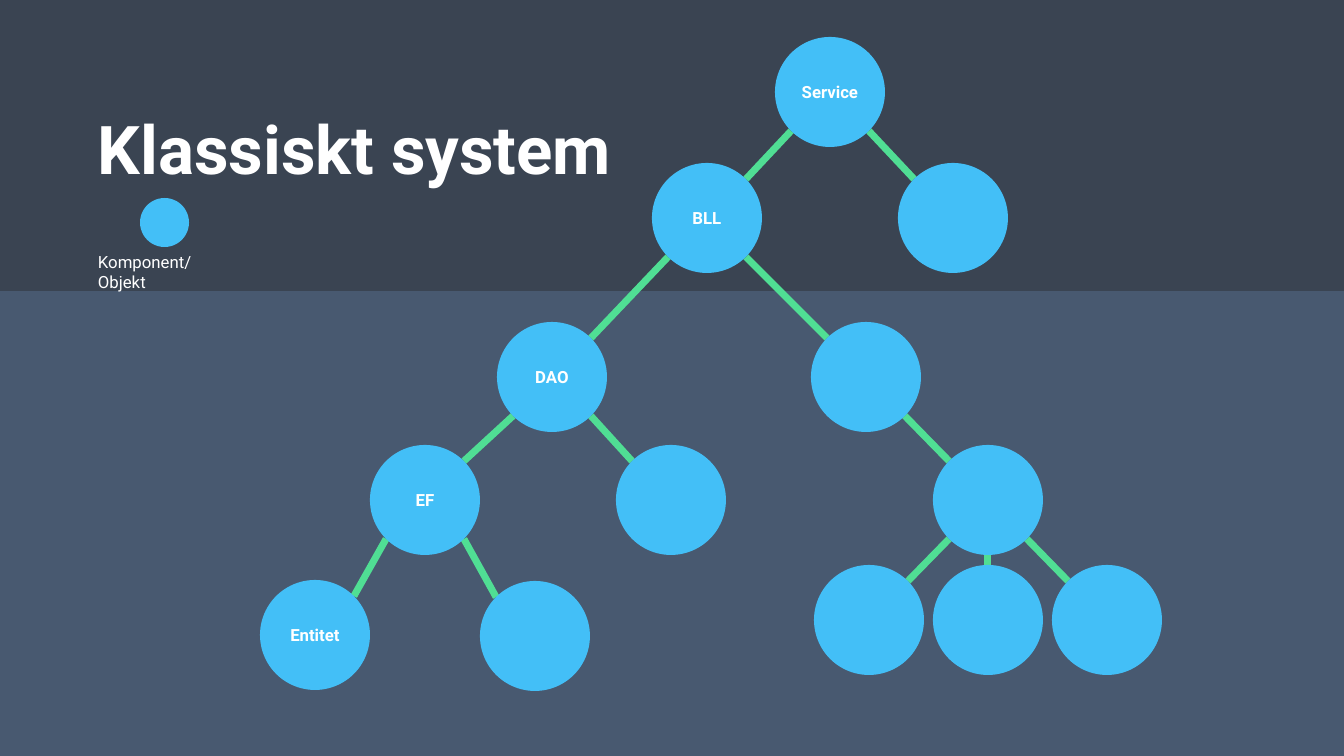
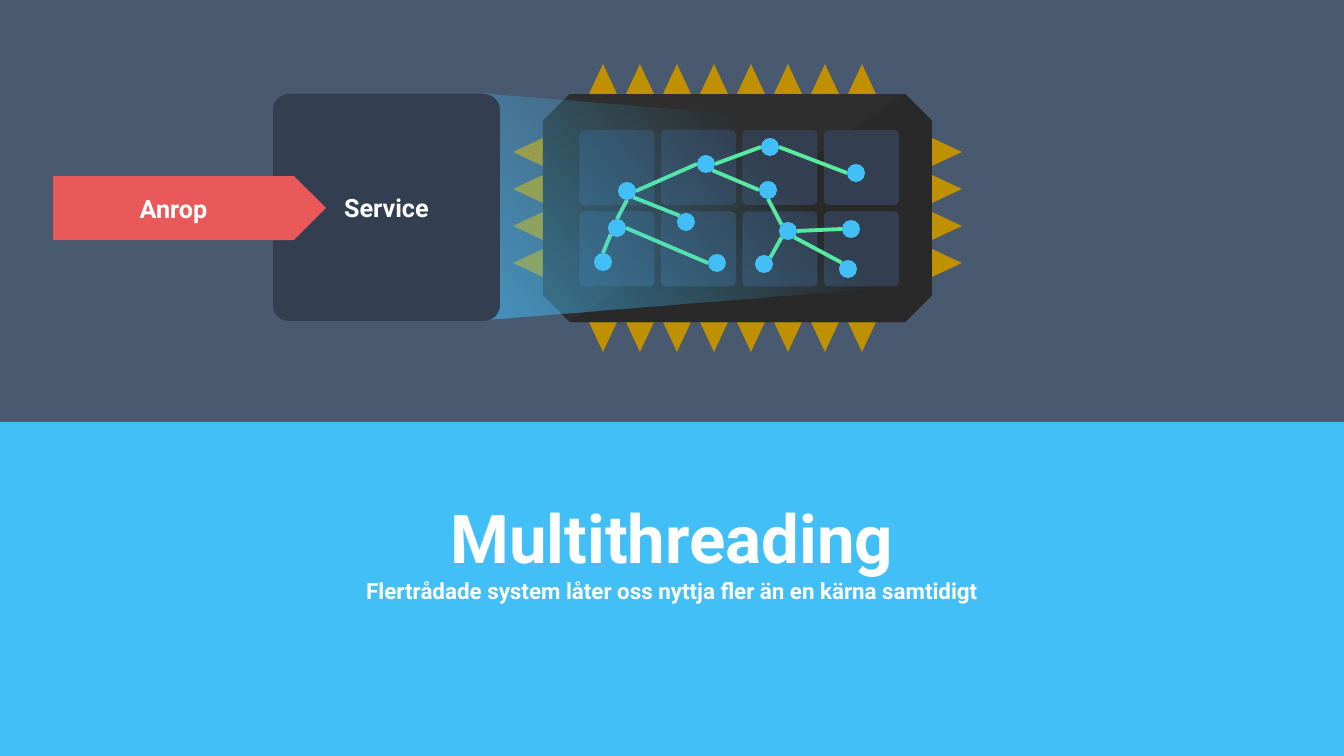
from itertools import product

from lxml.etree import SubElement as Sub
from pptx import Presentation
from pptx.dml.color import RGBColor as Rgb
from pptx.enum.shapes import MSO_CONNECTOR as Line, MSO_SHAPE as Kind
from pptx.enum.text import MSO_ANCHOR as Anchor, PP_ALIGN as Align
from pptx.oxml.ns import qn
from pptx.util import Pt

PX = 914400 / 100.8
WIDE, HIGH = 1344, 756
FONT = "Roboto"
TITLE = 48
COLOR = {
    "back": "485970", "band": "262626", "sky": "43BFF7", "white": "FFFFFF",
    "link": "50DE94", "thread": "58EC9F", "pin": "BF9000", "chip": "2E2E2E",
    "shade": "292929", "core": "333F50", "call": "E95959",
}
# Centres of the nodes, relative to the box of their tree
PARTS = {
    "S": (570, 55), "B": (447, 181), "R": (693, 181), "D": (292, 340),
    "X": (606, 340), "E": (165, 463), "Y": (411, 463), "Z": (728, 463),
    "N": (55, 598), "P": (275, 599), "Q": (609, 583), "T": (728, 583),
    "U": (847, 583),
}
NAMES = {"S": "Service", "B": "BLL", "D": "DAO", "E": "EF", "N": "Entitet"}
THREADS = {
    "A": (227, 53), "B": (163, 70), "C": (313, 79), "D": (84, 97),
    "E": (225, 96), "F": (74, 134), "G": (143, 128), "H": (60, 168),
    "I": (174, 169), "J": (245, 137), "K": (221, 170), "L": (308, 135),
    "M": (305, 175),
}
# Each link: node, side it leaves, node, side it meets
LINKS = """S SW B NE, S SE R NW, B SW D NE, B SE X NW, D SW E NE, D SE Y NW,
    E SW N NE, E SE P NW, X SE Z NW, Z SW Q NE, Z S T N, Z SE U NW"""
PATHS = """A W B E, A E C W, B W D E, B SE E W, D S F N, D SE G NW,
    F SW H N, F E I W, E S J NW, J SW K NE, J SE M NW, J E L W"""


def emu(*nums):
    return [round(n * PX) for n in nums]


def paint(shape, color):
    shape.shadow.inherit = False
    shape.line.fill.background()
    shape.fill.solid()
    shape.fill.fore_color.rgb = Rgb.from_string(COLOR[color])
    return shape


def fade(shape, *rates):
    """Set the opacity, in percent, of each colour of the fill."""
    for tint, rate in zip(shape.element.spPr.iter(qn("a:srgbClr")), rates):
        Sub(tint, qn("a:alpha")).set("val", str(rate * 1000))


def block(slide, kind, box, color, adj=None):
    shape = paint(slide.shapes.add_shape(kind, *emu(*box)), color)
    for i, value in enumerate(adj or ()):
        shape.adjustments[i] = value
    return shape


def poly(slide, spots, color):
    form = slide.shapes.build_freeform(*spots[0], scale=PX)
    form.add_line_segments(spots[1:], close=True)
    return paint(form.convert_to_shape(), color)


def write(shape, text, size=12, bold=True, align=Align.CENTER,
          anchor=Anchor.MIDDLE):
    """Add one paragraph to the shape."""
    frame = shape.text_frame
    frame.word_wrap = True
    frame.vertical_anchor = anchor
    para = frame.add_paragraph() if frame.text else frame.paragraphs[0]
    para.alignment = align
    run = para.add_run()
    run.text = text
    font = run.font
    font.name, font.size, font.bold = FONT, Pt(size), bold
    font.color.rgb = Rgb.from_string(COLOR["white"])


def label(slide, box, text, **form):
    area = slide.shapes.add_textbox(*emu(*box))
    write(area, text, align=Align.LEFT, anchor=Anchor.TOP, **form)


def side(spot, name, rad):
    """Find the point on a circle at a compass side."""
    dx = ("E" in name) - ("W" in name)
    dy = ("S" in name) - ("N" in name)
    reach = rad / (dx * dx + dy * dy) ** 0.5
    return spot[0] + dx * reach, spot[1] + dy * reach


def tree(slide, box, nodes, links, rad, color, weight, names=None):
    left, top = box[:2]
    spots = {key: (left + x, top + y) for key, (x, y) in nodes.items()}
    for link in links.split(","):
        a, out, b, into = link.split()
        ends = side(spots[a], out, rad) + side(spots[b], into, rad)
        line = slide.shapes.add_connector(Line.STRAIGHT, *emu(*ends))
        line.line.width = Pt(weight)
        line.line.color.rgb = Rgb.from_string(COLOR[color])
        Sub(line.element.spPr, qn("a:effectLst"))
    for key, (x, y) in spots.items():
        dot = block(slide, Kind.OVAL, (x - rad, y - rad, 2 * rad, 2 * rad),
                    "sky")
        if names and key in names:
            write(dot, names[key])


def pins(slide, box):
    left, top, wide, high = box
    size, depth, step = 28, 30, 37
    for i in range(8):
        x = left + 46 + i * step
        for y, way in ((top, -1), (top + high, 1)):
            poly(slide, [(x, y), (x + size, y),
                         (x + size // 2, y + way * depth)], "pin")
    for i in range(4):
        y = top + 44 + i * step
        for x, way in ((left, -1), (left + wide, 1)):
            poly(slide, [(x, y), (x, y + size),
                         (x + way * depth, y + size // 2)], "pin")


def chip(slide, box):
    left, top, wide, high = box
    cut = 27
    pins(slide, box)
    block(slide, Kind.OCTAGON, box, "chip", [0.117])
    right, base = left + wide, top + high
    poly(slide, [(left + cut, base), (right - cut, top), (right, top + cut),
                 (right, base - cut), (right - cut, base)], "shade")
    for row, col in product(range(2), range(4)):
        cell = (left + 36.5 + col * 81.5, top + 36 + row * 81.5, 75, 75)
        block(slide, Kind.ROUNDED_RECTANGLE, cell, "core", [0.062])
    tree(slide, box, THREADS, PATHS, 9, "thread", 2.75)


def beam(slide, box):
    left, top, wide, high = box
    spots = [(0, 0), (wide - 10, 34), (wide - 3, 37), (wide, 44),
             (wide, 183), (wide - 3, 190), (wide - 10, 193), (3, high)]
    shape = poly(slide, [(left + x, top + y) for x, y in spots], "sky")
    fill = shape.fill
    fill.gradient()
    fill.gradient_angle = 40
    for stop, place in zip(fill.gradient_stops, (0, 0.68)):
        stop.position = place
        stop.color.rgb = Rgb.from_string(COLOR["sky"])
    fade(shape, 56, 0)


def banner(slide, box, head, text):
    area = block(slide, Kind.RECTANGLE, box, "sky")
    area.text_frame.margin_bottom = emu(82)[0]
    write(area, head, size=TITLE)
    write(area, text, size=16)


def legend(slide, box):
    left, top, wide, high = box
    block(slide, Kind.OVAL, (left + 52, top, 49, 49), "sky")
    label(slide, (left, top + 49, wide, high - 49), "Komponent/Objekt",
          bold=False)


def page(deck):
    slide = deck.slides.add_slide(deck.slide_layouts[6])
    fill = slide.background.fill
    fill.solid()
    fill.fore_color.rgb = Rgb.from_string(COLOR["back"])
    return slide


def classic(deck):
    slide = page(deck)
    fade(block(slide, Kind.RECTANGLE, (0, 0, WIDE, 291), "band"), 40)
    label(slide, (88, 102, 635, 92), "Klassiskt system", size=TITLE)
    tree(slide, (260, 37, 902, 654), PARTS, LINKS, 55, "link", 5, NAMES)
    legend(slide, (88, 198, 153, 99))


def multi(deck):
    slide = page(deck)
    chip(slide, (543, 94, 389, 228))
    banner(slide, (0, 422, WIDE, HIGH - 422), "Multithreading",
           "Flertrådade system låter oss nyttja fler än en kärna samtidigt")
    beam(slide, (485, 94, 420, 226))
    core = block(slide, Kind.ROUNDED_RECTANGLE, (273, 94, 227, 227), "core",
                 [0.07])
    write(core, "Service", size=18)
    call = block(slide, Kind.RIGHT_ARROW, (53, 176, 273, 64), "call",
                 [1, 0.5])
    write(call, "Anrop", size=18)


def main():
    deck = Presentation()
    deck.slide_width, deck.slide_height = emu(WIDE, HIGH)
    classic(deck)
    multi(deck)
    deck.save("out.pptx")


if __name__ == "__main__":
    main()
